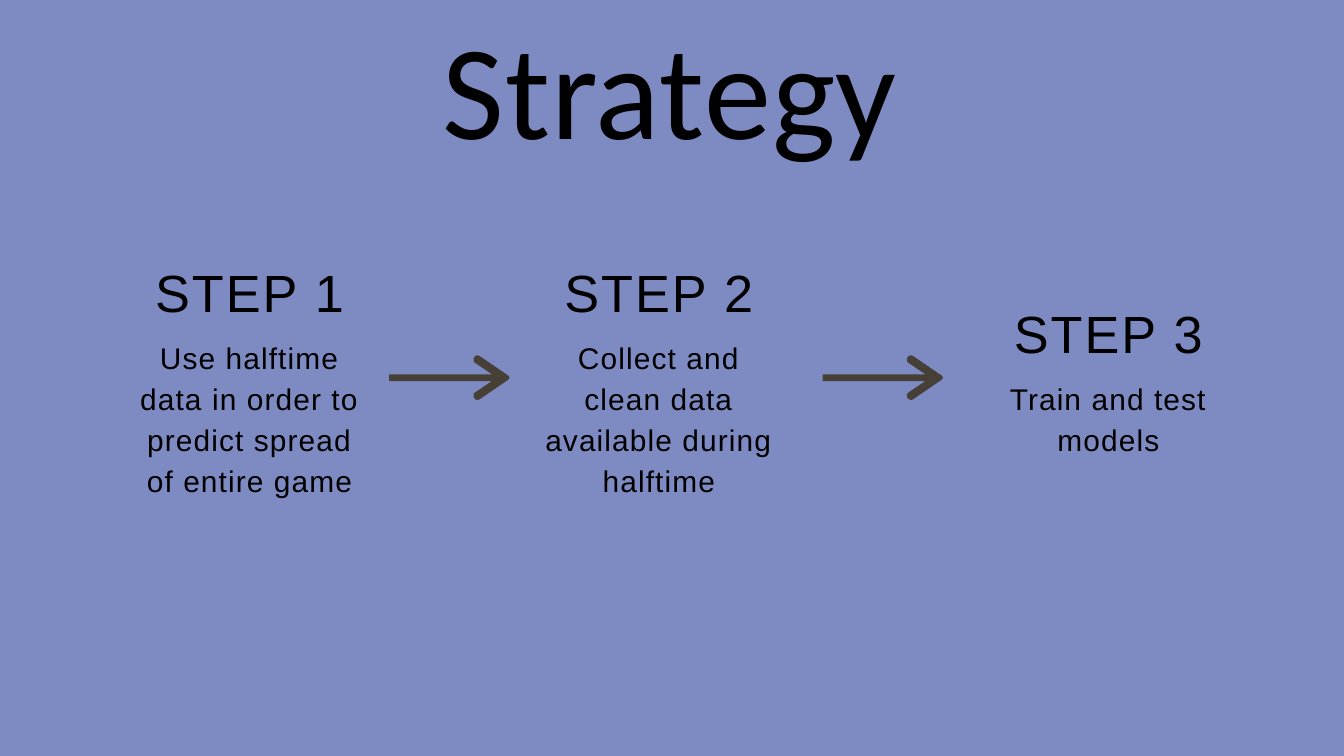
import pptx
import pptx.dml.color
import pptx.enum.text
import pptx.util

PX = 9144  # one px is a hundredth of an inch
BLACK = "000000"
ARROW_COLOUR = "474037"
BACKGROUND = "7E8BC2"

STEP_WIDTH = 353
STEPS = [
    # left, top, body height, heading, body
    (195, 373, 244, "STEP 1",
     "Use halftime data in order to predict spread of entire game"),
    (804, 373, 244, "STEP 2",
     "Collect and clean data available during halftime"),
    (1473, 434, 122, "STEP 3", "Train and test models"),
]
ARROW_LEFTS = (579, 1224)
ARROW_TOP = 528
ARROW_AXIS = 34  # the arrow is mirrored about this height


def px(length):
    return pptx.util.Emu(round(length * PX))


def colour(hex_string):
    return pptx.dml.color.RGBColor.from_string(hex_string)


def place(box, left, top, width, height):
    box.left, box.top = px(left), px(top)
    box.width, box.height = px(width), px(height)


def write(box, text, *, font, size, leading, tracking, align):
    """Fill a box with one paragraph; leading and tracking are in points."""
    frame = box.text_frame
    frame.word_wrap = True
    frame.auto_size = pptx.enum.text.MSO_AUTO_SIZE.SHAPE_TO_FIT_TEXT
    frame.vertical_anchor = pptx.enum.text.MSO_ANCHOR.TOP
    frame.margin_left = frame.margin_right = 0
    frame.margin_top = frame.margin_bottom = 0
    para = frame.paragraphs[0]
    para.alignment = align
    para.line_spacing = pptx.util.Pt(leading)
    para.space_before = pptx.util.Pt(0)
    span = para.add_run()
    span.text = text
    span.font.name = font
    span.font.size = pptx.util.Pt(size)
    span.font.color.rgb = colour(BLACK)
    span._r.get_or_add_rPr().set("spc", str(round(tracking * 100)))


def add_step(page, left, top, body_height, heading, body):
    centre = pptx.enum.text.PP_ALIGN.CENTER
    box = page.shapes.add_textbox(0, 0, 0, 0)
    place(box, left, top, STEP_WIDTH, 104)
    write(box, heading, font="Arial", size=56, leading=77.3,
          tracking=2.1, align=centre)
    box = page.shapes.add_textbox(0, 0, 0, 0)
    place(box, left, top + 124, STEP_WIDTH, body_height)
    write(box, body, font="Arial", size=32, leading=44.1,
          tracking=1.2, align=centre)


def curve(*controls, pieces=8):
    """Return points along a cubic Bezier curve."""
    points = []
    for piece in range(pieces + 1):
        t = piece / pieces
        weights = ((1 - t) ** 3, 3 * t * (1 - t) ** 2,
                   3 * t ** 2 * (1 - t), t ** 3)
        points.append(tuple(
            sum(weight * control[axis]
                for weight, control in zip(weights, controls))
            for axis in (0, 1)))
    return points


def arrow_outline():
    # Upper half, from the tip round the barb to the tail
    upper = curve((179, 34), (179, 33), (178, 31), (176, 30))
    upper += curve((135, 2), (132, 0), (129, 1), (127, 3))
    upper += curve((127, 3), (125, 6), (125, 10), (128, 12))
    upper += [(153, 29), (0, 29)]
    lower = [(x, 2 * ARROW_AXIS - y) for x, y in reversed(upper)]
    return upper + lower


def add_arrow(page, left, top):
    points = [(px(left + x), px(top + y)) for x, y in arrow_outline()]
    builder = page.shapes.build_freeform(*points[0], scale=1.0)
    builder.add_line_segments(points[1:], close=True)
    arrow = builder.convert_to_shape()
    arrow.shadow.inherit = False
    arrow.fill.solid()
    arrow.fill.fore_color.rgb = colour(ARROW_COLOUR)
    arrow.line.fill.background()


def main():
    deck = pptx.Presentation()
    deck.slide_width, deck.slide_height = px(2000), px(1125)
    page = deck.slides.add_slide(deck.slide_layouts[5])  # title only
    page.background.fill.solid()
    page.background.fill.fore_color.rgb = colour(BACKGROUND)

    # Title
    place(page.shapes.title, 659, 148, 683, 137)
    write(page.shapes.title, "Strategy", font="Calibri", size=144,
          leading=72, tracking=0.9, align=pptx.enum.text.PP_ALIGN.LEFT)

    # Steps and the arrows between them
    for step in STEPS:
        add_step(page, *step)
    for left in ARROW_LEFTS:
        add_arrow(page, left, ARROW_TOP)

    deck.save("out.pptx")


if __name__ == "__main__":
    main()
